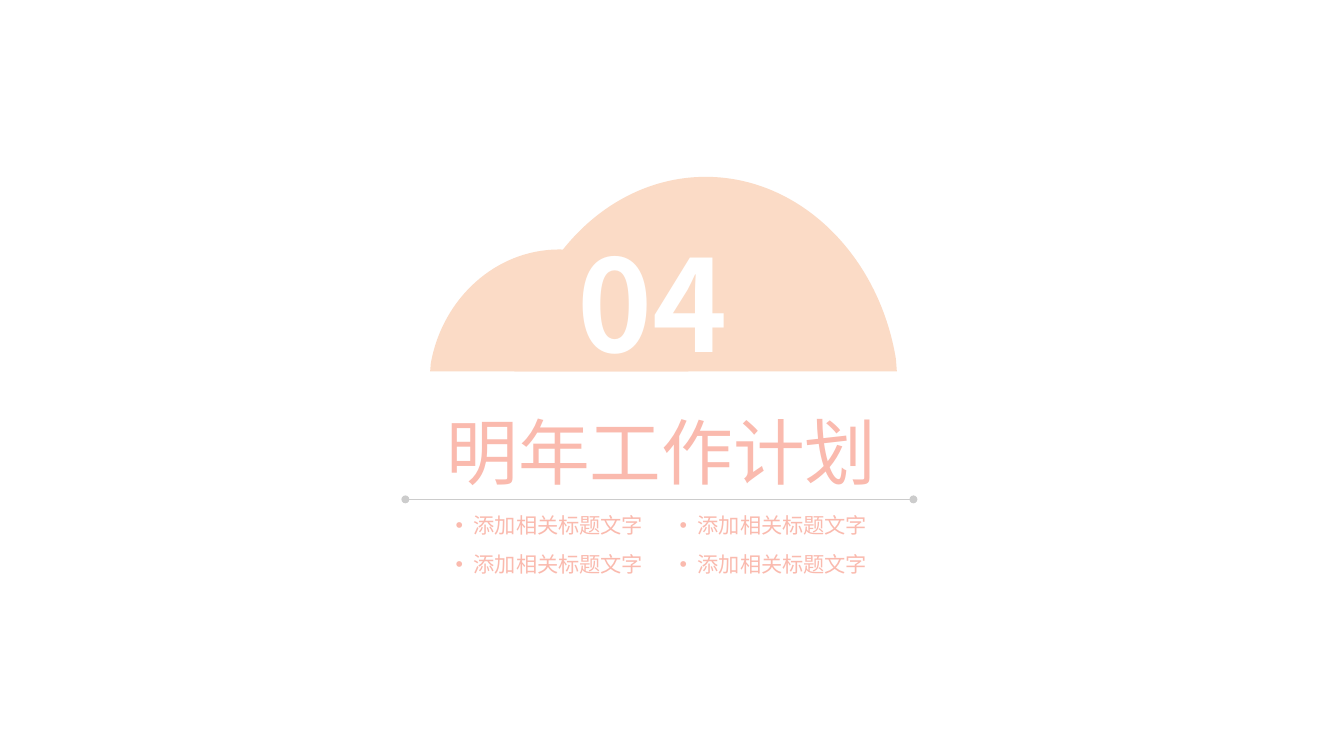
"""Build the section slide for next year's work plan."""
from lxml import etree
from pptx import Presentation
from pptx.dml.color import RGBColor
from pptx.enum.shapes import MSO_CONNECTOR
from pptx.enum.text import PP_ALIGN
from pptx.oxml.ns import qn
from pptx.util import Cm, Pt

STRAIGHT = MSO_CONNECTOR.STRAIGHT
LEFT, CENTER = PP_ALIGN.LEFT, PP_ALIGN.CENTER
PEACH, PINK, GRAY, WHITE = "FBDBC6", "FABAAE", "CCCCCC", "FFFFFF"
FONT = "Noto Sans CJK SC"


def color(fmt, code):
    """Set a solid fill or line fill."""
    fmt.solid()
    fmt.fore_color.rgb = RGBColor.from_string(code)


def write(words, box, size, code, align=LEFT, bold=False, inset=(0, 0)):
    """Add a one-line text box and return its paragraph."""
    frame = slide.shapes.add_textbox(*map(Cm, box)).text_frame
    side, edge = map(Cm, inset)
    margins = {"margin_left": side, "margin_right": side,
               "margin_top": edge, "margin_bottom": edge, "word_wrap": False}
    for name, value in margins.items():
        setattr(frame, name, value)
    para = frame.paragraphs[0]
    para.alignment = align
    run = para.add_run()
    run.text = words
    for name, value in {"name": FONT, "size": Pt(size), "bold": bold}.items():
        setattr(run.font, name, value)
    color(run.font.fill, code)
    etree.SubElement(run.font._element, qn("a:ea")).set("typeface", FONT)
    return para


deck = Presentation()
deck.slide_width, deck.slide_height = Cm(35.71), Cm(20.09)
slide = deck.slides.add_slide(deck.slide_layouts[6])
color(slide.background.fill, WHITE)

half = [(0, 0), (0.49, 0), (0.905, 0.4), (0.995, 0.935), (1, 1)]
dome = [(-x, y) for x, y in half] + half[::-1]

base = 9.87
for mid, top, reach in [(18.75, 4.7, 5.08), (14.86, 6.63, 3.43)]:
    points = [(Cm(mid + reach * x), Cm(top + (base - top) * y)) for x, y in dome]
    pen = slide.shapes.build_freeform(*points[0])
    pen.add_line_segments(points[1:], close=True)
    cloud = pen.convert_to_shape()
    cloud.shadow.inherit = False
    color(cloud.fill, PEACH)
    cloud.line.fill.background()
    sides = list(cloud._element.iter(qn("a:lnTo")))
    for first in (0, 6):
        bend = etree.Element(qn("a:cubicBezTo"))
        sides[first].addprevious(bend)
        for side in sides[first:first + 3]:
            bend.append(side[0])
            side.getparent().remove(side)

rule = slide.shapes.add_connector(STRAIGHT, Cm(10.77), Cm(13.27), Cm(24.27), Cm(13.27))
color(rule.line.fill, GRAY)
rule.line.width = Pt(1)
for end in ("a:headEnd", "a:tailEnd"):
    etree.SubElement(rule.line._get_or_add_ln(), qn(end)).set("type", "oval")
etree.SubElement(rule._element.spPr, qn("a:effectLst"))

write("04", (14.55, 5.97, 5.6, 4.42), 96, WHITE, CENTER, True)
write("明年工作计划", (11.86, 10.85, 12.42, 2.31), 54, PINK)

for row in range(2):
    for col in range(2):
        box = (11.86 + 5.95 * col, 13.49 + 1.04 * row, 5.56, 0.94)
        props = write("添加相关标题文字", box, 16, PINK, inset=(0.25, 0.13))._p.get_or_add_pPr()
        props.set("marL", str(Cm(0.48)))
        props.set("indent", str(-Cm(0.48)))
        etree.SubElement(props, qn("a:buFont")).set("typeface", "Arial")
        etree.SubElement(props, qn("a:buChar")).set("char", "•")

deck.save("out.pptx")
